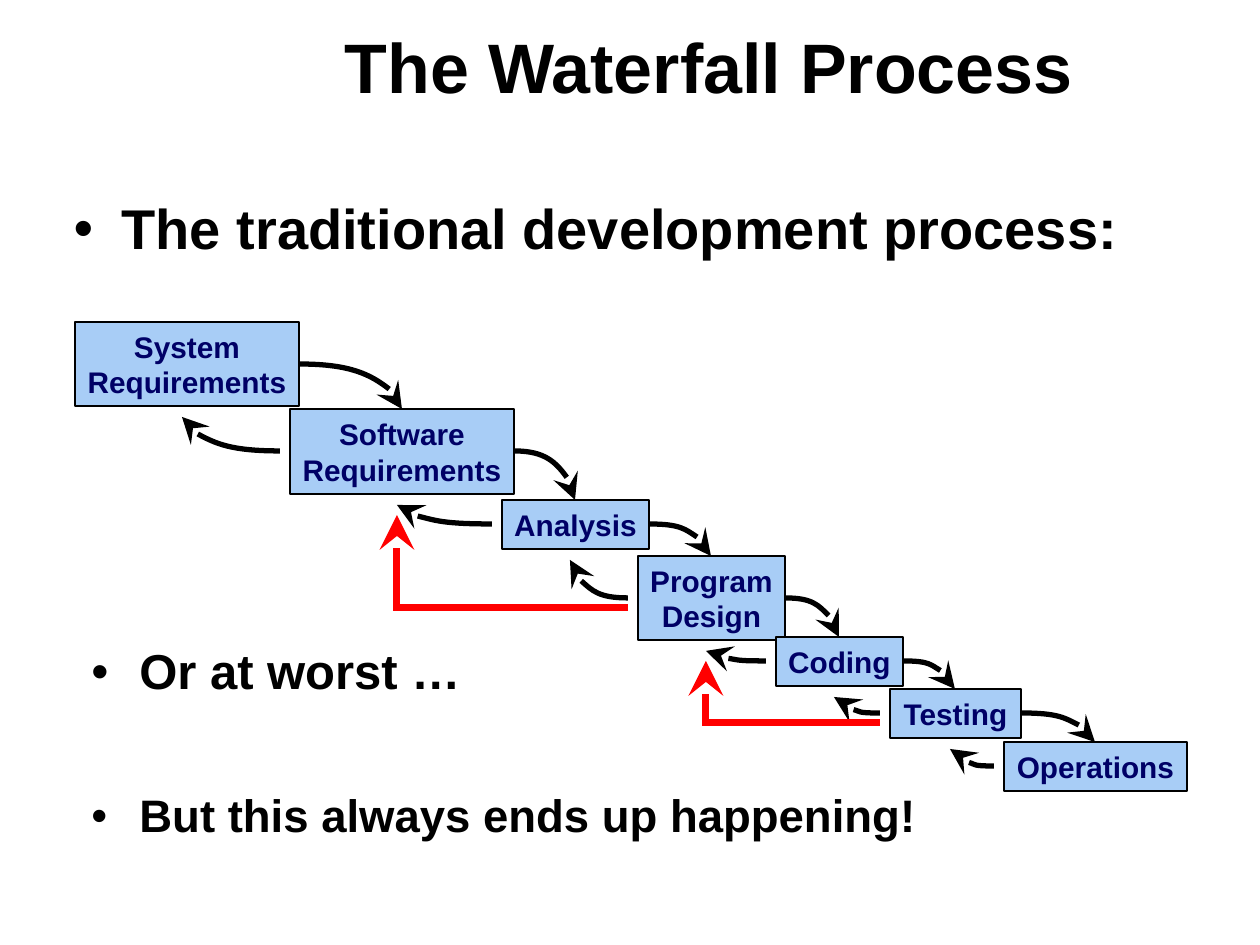
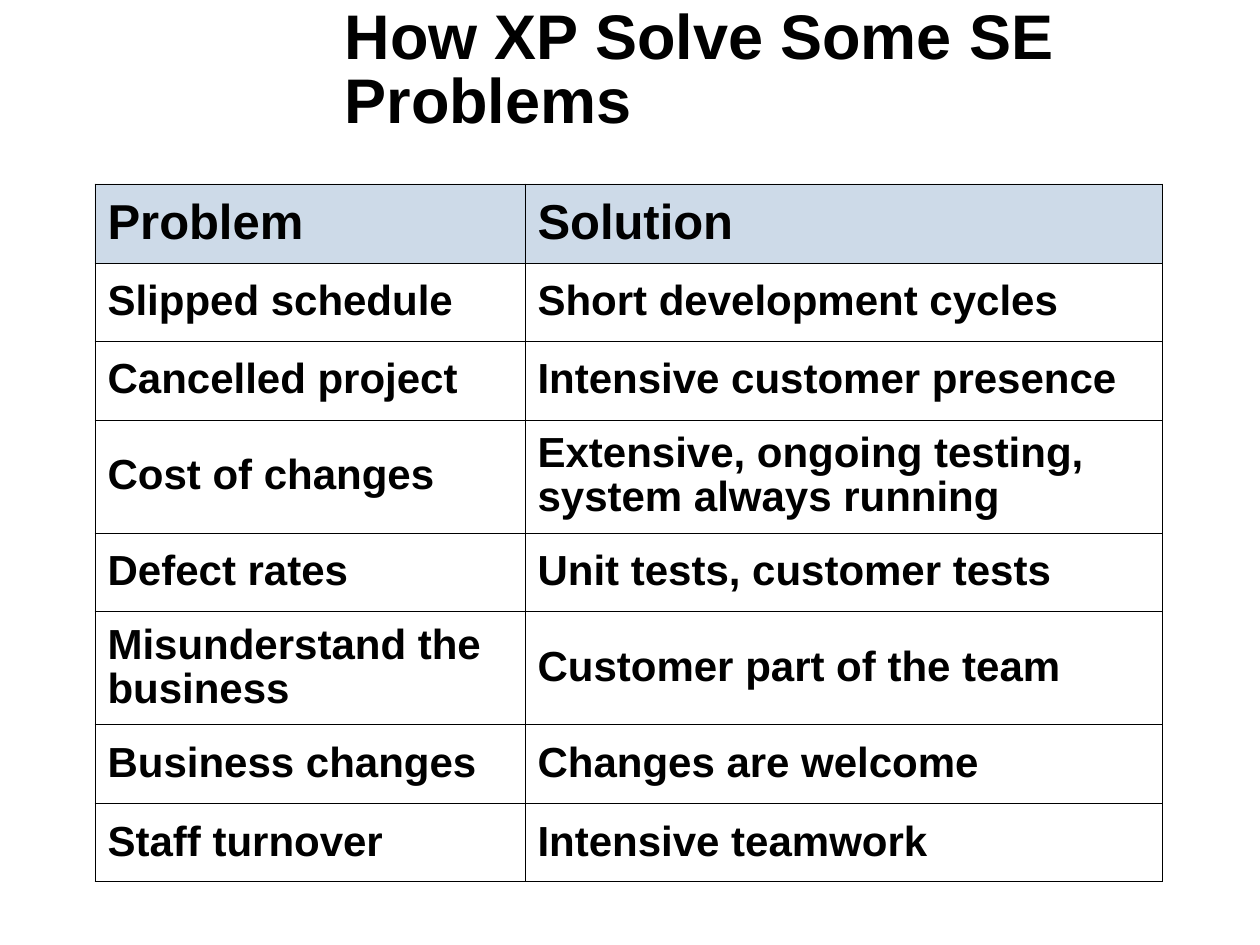
from dataclasses import dataclass

from lxml import etree
from pptx import Presentation
from pptx.dml.color import RGBColor
from pptx.enum.shapes import MSO_CONNECTOR, MSO_SHAPE
from pptx.enum.text import MSO_ANCHOR, MSO_AUTO_SIZE, PP_ALIGN
from pptx.oxml.ns import qn
from pptx.util import Emu, Pt

RECT = MSO_SHAPE.RECTANGLE
CURVE, ELBOW = MSO_CONNECTOR.CURVE, MSO_CONNECTOR.ELBOW
MIDDLE = MSO_ANCHOR.MIDDLE
LEFT, CENTER = PP_ALIGN.LEFT, PP_ALIGN.CENTER
FIXED = MSO_AUTO_SIZE.NONE
TITLE_BODY, TITLE_ONLY = 1, 5
SCALE = 914400 / 126


@dataclass(frozen=True)
class Theme:
    font: str = "Arial"
    ink: str = "000000"
    navy: str = "000066"
    sky: str = "A8CDF6"
    red: str = "FF0000"
    head: str = "9DB7D3"
    step_size: int = 17
    cell_size: int = 24
    head_size: int = 28
    title_gap: float = 0.85
    text_gap: float = 0.95


THEME = Theme()

STEPS = [
    ("System\nRequirements", (75, 322, 224, 84)),
    ("Software\nRequirements", (290, 409, 224, 85)),
    ("Analysis", (502, 500, 147, 49)),
    ("Program\nDesign", (638, 556, 147, 84)),
    ("Coding", (776, 637, 127, 49)),
    ("Testing", (890, 689, 131, 49)),
    ("Operations", (1004, 742, 183, 49)),
]
REWORK = [(5, 3), (3, 1)]

ROWS = [
    ("Problem", "Solution"),
    ("Slipped schedule", "Short development cycles"),
    ("Cancelled project", "Intensive customer presence"),
    ("Cost of changes", "Extensive, ongoing testing, system always running"),
    ("Defect rates", "Unit tests, customer tests"),
    ("Misunderstand the business", "Customer part of the team"),
    ("Business changes", "Changes are welcome"),
    ("Staff turnover", "Intensive teamwork"),
]
WIDTHS = [430, 637]
HEIGHTS = [79, 78, 79, 113, 79, 113, 79, 78]


def px(length):
    return Emu(round(length * SCALE))


def rgb(code):
    return RGBColor.from_string(code)


def sub(parent, tag, **attrs):
    return etree.SubElement(parent, qn(tag), attrs)


def place(shape, box):
    shape.left, shape.top, shape.width, shape.height = map(px, box)


def write(para, text, size, color=THEME.ink, align=LEFT, gap=None):
    para.alignment = align
    para.space_before = Pt(0)
    if gap:
        para.line_spacing = gap
    run = para.add_run()
    run.text = text
    font = run.font
    font.name, font.size, font.bold = THEME.font, Pt(size), True
    font.color.rgb = rgb(color)


def add_title(slide, text, size):
    title = slide.shapes.title
    place(title, (332, 10, 903, 125))
    frame = title.text_frame
    frame.vertical_anchor, frame.auto_size = MIDDLE, FIXED
    write(frame.paragraphs[0], text, size, gap=THEME.title_gap)


def fill_point(shape, text, size):
    """Put one bulleted line into a text shape."""
    frame = shape.text_frame
    frame.word_wrap, frame.auto_size = True, FIXED
    para = frame.paragraphs[0]
    write(para, text, size, gap=THEME.text_gap)
    props = para._p.get_or_add_pPr()
    props.set("marL", str(px(48)))
    props.set("indent", str(px(-48)))
    sub(sub(props, "a:buClr"), "a:srgbClr", val=THEME.ink)
    sub(props, "a:buFont", typeface=THEME.font)
    sub(props, "a:buChar", char="•")


def add_point(slide, text, size, box):
    fill_point(slide.shapes.add_textbox(*map(px, box)), text, size)


def add_step(slide, text, box):
    shape = slide.shapes.add_shape(RECT, *map(px, box))
    shape.shadow.inherit = False
    shape.fill.solid()
    shape.fill.fore_color.rgb = rgb(THEME.sky)
    shape.line.color.rgb = rgb(THEME.ink)
    shape.line.width = Pt(1)
    frame = shape.text_frame
    frame.word_wrap, frame.auto_size = False, FIXED
    frame.margin_left = frame.margin_right = px(2)
    frame.vertical_anchor = MIDDLE
    for i, line in enumerate(text.split("\n")):
        para = frame.add_paragraph() if i else frame.paragraphs[0]
        write(para, line, THEME.step_size, THEME.navy, CENTER)


def add_arrow(slide, kind, start, end, color=THEME.ink, width=3):
    """Draw a one-bend arrow that leaves sideways and arrives upright."""
    arrow = slide.shapes.add_connector(kind, *map(px, start + end))
    arrow.line.color.rgb = rgb(color)
    arrow.line.width = Pt(width)
    props = arrow.element.spPr
    name = "curvedConnector2" if kind == CURVE else "bentConnector2"
    props.find(qn("a:prstGeom")).set("prst", name)
    line = props.find(qn("a:ln"))
    sub(line, "a:miter", lim="800000")
    sub(line, "a:tailEnd", type="stealth", w="lg", len="lg")
    sub(props, "a:effectLst")


def link_down(slide, box, after):
    left, top, width, height = box
    start = (left + width + 1, top + height // 2)
    add_arrow(slide, CURVE, start, (after[0] + after[2] // 2, after[1]))


def link_back(slide, box, prior, kind=CURVE, drop=0, **look):
    left, top, width, height = box
    start = (left - 10, top + height // 2 + drop)
    end = (prior[0] + prior[2] // 2 - 5, prior[1] + prior[3] + 11 + drop)
    add_arrow(slide, kind, start, end, **look)


def edge_cell(cell):
    props = cell._tc.get_or_add_tcPr()
    for i, side in enumerate(("a:lnL", "a:lnR", "a:lnT", "a:lnB")):
        line = etree.Element(qn(side), w=str(Pt(0.45)))
        sub(sub(line, "a:solidFill"), "a:srgbClr", val=THEME.ink)
        props.insert(i, line)


def shade_cell(cell):
    cell.fill.solid()
    cell.fill.fore_color.rgb = rgb(THEME.head)
    color = cell._tc.tcPr.find(".//" + qn("a:srgbClr"))
    sub(color, "a:alpha", val="50000")


def add_grid(slide, rows, left, top):
    box = (left, top, sum(WIDTHS), sum(HEIGHTS))
    table = slide.shapes.add_table(
        len(rows), len(WIDTHS), *map(px, box)).table
    table.first_row = table.horz_banding = False
    for col, width in zip(table.columns, WIDTHS):
        col.width = px(width)
    for i, (row, height) in enumerate(zip(table.rows, HEIGHTS)):
        row.height = px(height)
        for cell, text in zip(row.cells, rows[i]):
            cell.vertical_anchor = MIDDLE
            if i == 0:
                shade_cell(cell)
            else:
                cell.fill.background()
            edge_cell(cell)
            size = THEME.cell_size if i else THEME.head_size
            write(cell.text_frame.paragraphs[0], text, size,
                  gap=THEME.text_gap)


def build_process(deck):
    slide = deck.slides.add_slide(deck.slide_layouts[TITLE_BODY])
    add_title(slide, "The Waterfall Process", 40)
    body = slide.placeholders[1]
    place(body, (61, 192, 1130, 84))
    fill_point(body, "The traditional development process:", 32)
    for text, box in STEPS:
        add_step(slide, text, box)
    boxes = [box for _, box in STEPS]
    pairs = list(zip(boxes, boxes[1:]))
    for box, after in pairs:
        link_down(slide, box, after)
    add_point(slide, "Or at worst …", 28, (79, 639, 462, 84))
    for prior, box in pairs:
        link_back(slide, box, prior)
    add_point(slide, "But this always ends up happening!", 26,
              (79, 785, 1071, 84))
    for late, early in REWORK:
        link_back(slide, boxes[late], boxes[early], ELBOW, 10,
                  color=THEME.red, width=4)


def build_answers(deck):
    slide = deck.slides.add_slide(deck.slide_layouts[TITLE_ONLY])
    add_title(slide, "How XP Solve Some SE Problems", 36)
    add_grid(slide, ROWS, 95, 184)


def main():
    deck = Presentation()
    deck.slide_width, deck.slide_height = px(1260), px(945)
    build_process(deck)
    build_answers(deck)
    deck.save("out.pptx")


if __name__ == "__main__":
    main()
